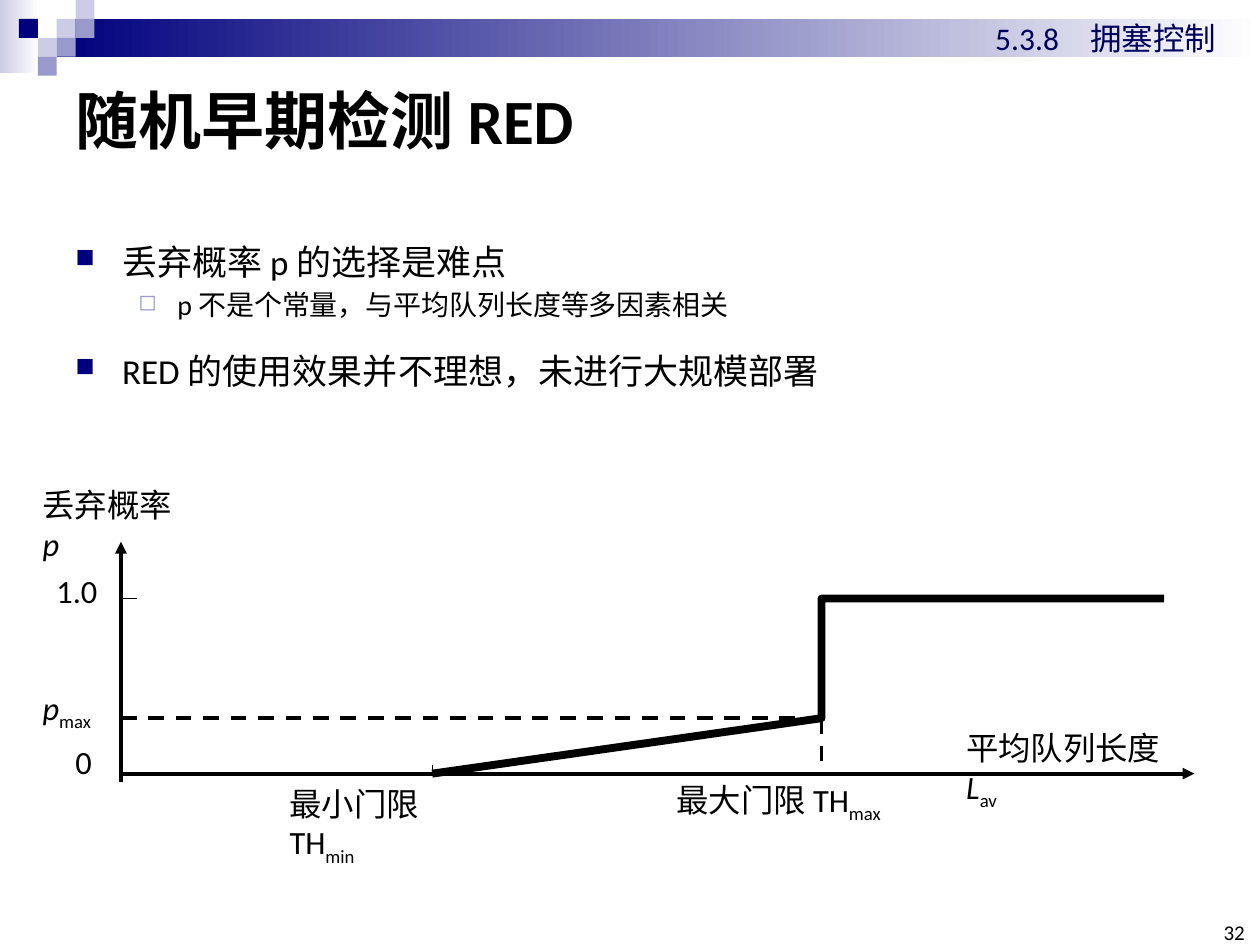
from typing import NamedTuple

from lxml import etree
from pptx import Presentation
from pptx import util as u
from pptx.dml.color import RGBColor
from pptx.enum import dml, shapes, text
from pptx.oxml import ns

NAVY = RGBColor(0x00, 0x00, 0x7D)
INK = RGBColor(0x00, 0x00, 0x5E)
MID = RGBColor(0x99, 0x99, 0xCC)
PALE = RGBColor(0xCC, 0xCC, 0xE6)
WHITE = RGBColor(0xFF, 0xFF, 0xFF)
BLACK = RGBColor(0x00, 0x00, 0x00)
FONT = "Calibri"
CELL = 0.15  # side of a header square

# Chart positions in inches
LEFT, BASE = 0.96, 6.14
LOW, HIGH, END = 3.43, 6.52, 9.24
PMAX, ONE = 5.7, 4.75


class Run(NamedTuple):
    text: str
    ital: bool = False
    sub: bool = False


class Label(NamedTuple):
    x: float
    y: float
    w: float
    runs: list[Run]
    wrap: bool = False


class Line(NamedTuple):
    start: tuple[float, float]
    end: tuple[float, float]
    width: float = 2.25
    dash: bool = False
    arrow: bool = False


class Point(NamedTuple):
    text: str
    size: float = 20
    level: int = 0
    space: float = 1.5
    left: float = 0.37
    hang: float = 0.37
    mark: str = "■"
    color: RGBColor = NAVY
    scale: int = 75


SQUARES = [
    (3, 1, PALE), (4, 0, PALE), (4, 1, MID), (2, 2, PALE),
    (1, 1, NAVY), (3, 2, MID), (2, 3, MID),
]
POINTS = [
    Point("丢弃概率 p 的选择是难点"),
    Point("p 不是个常量，与平均队列长度等多因素相关", 16, 1, 1.0, 0.81, 0.31, "◻", MID, 80),
    Point("RED 的使用效果并不理想，未进行大规模部署"),
]
LINES = [
    Line((LEFT, BASE), (9.48, BASE), arrow=True),
    Line((LEFT, 6.21), (LEFT, 4.3), arrow=True),
    Line((HIGH, PMAX), (HIGH, BASE), dash=True),
    Line((LEFT, PMAX), (HIGH, PMAX), dash=True),
    Line((LOW, 6.07), (LOW, BASE), 0.75),
    Line((LEFT, ONE), (1.09, ONE), 0.75),
]
CURVE = [(LOW, BASE), (HIGH, PMAX), (HIGH, ONE), (END, ONE)]
LABELS = [
    Label(2.2, 6.17, 1.7, [Run("最小门限 TH"), Run("min", sub=True)], True),
    Label(5.27, 6.14, 1.88, [Run("最大门限 TH"), Run("max", sub=True)]),
    Label(7.57, 5.73, 2.0, [Run("平均队列长度 "), Run("L", True), Run("av", sub=True)], True),
    Label(0.24, 3.8, 1.35, [Run("丢弃概率 "), Run("p", True)], True),
    Label(0.35, 4.48, 0.53, [Run("1.0")]),
    Label(0.5, 5.84, 0.33, [Run("0")]),
    Label(0.24, 5.41, 0.63, [Run("p", True), Run("max", sub=True)]),
]


def add_rect(slide, x: float, y: float, w: float, h: float, color: RGBColor, fade: bool = False):
    box = slide.shapes.add_shape(shapes.MSO_SHAPE.RECTANGLE, *map(u.Inches, (x, y, w, h)))
    box.shadow.inherit = False
    box.line.fill.background()
    if fade:
        box.fill.gradient()
        box.fill.gradient_angle = 0
        for stop, tint in zip(box.fill.gradient_stops, (color, WHITE)):
            stop.color.rgb = tint
    else:
        box.fill.solid()
        box.fill.fore_color.rgb = color


def add_frame(slide, x: float, y: float, w: float, h: float, wrap: bool = True):
    frame = slide.shapes.add_textbox(*map(u.Inches, (x, y, w, h))).text_frame
    frame.word_wrap = wrap
    return frame


def add_run(para, part: Run, size: float, color: RGBColor = BLACK, bold: bool = False):
    run = para.add_run()
    run.text = part.text
    font = run.font
    font.name, font.size, font.bold = FONT, u.Pt(size), bold
    font.italic = part.ital
    font.color.rgb = color
    if part.sub:
        font._element.set("baseline", "-25000")


def add_point(para, item: Point):
    para.level = item.level
    para.line_spacing = item.space
    para.space_before = u.Pt(item.size * 0.2)
    props = para._p.get_or_add_pPr()
    props.set("marL", str(u.Inches(item.left)))
    props.set("indent", str(-u.Inches(item.hang)))
    tint = etree.SubElement(props, ns.qn("a:buClr"))
    etree.SubElement(tint, ns.qn("a:srgbClr"), val=str(item.color))
    etree.SubElement(props, ns.qn("a:buSzPct"), val=str(item.scale * 1000))
    etree.SubElement(props, ns.qn("a:buChar"), char=item.mark)
    add_run(para, Run(item.text), item.size)


def add_line(slide, item: Line):
    line = slide.shapes.add_connector(
        shapes.MSO_CONNECTOR.STRAIGHT, *map(u.Inches, item.start + item.end))
    line.line.color.rgb = BLACK
    line.line.width = u.Pt(item.width)
    if item.dash:
        line.line.dash_style = dml.MSO_LINE.DASH
    if item.arrow:
        etree.SubElement(line.line._get_or_add_ln(), ns.qn("a:tailEnd"), type="triangle")
    etree.SubElement(line._element.spPr, ns.qn("a:effectLst"))


def add_curve(slide, dots: list[tuple[float, float]]):
    first, *rest = [(u.Inches(x), u.Inches(y)) for x, y in dots]
    pen = slide.shapes.build_freeform(*first)
    pen.add_line_segments(rest, close=False)
    curve = pen.convert_to_shape()
    curve.shadow.inherit = False
    curve.fill.background()
    curve.line.color.rgb = BLACK
    curve.line.width = u.Pt(4.5)


def add_label(slide, item: Label):
    frame = add_frame(slide, item.x, item.y, item.w, 0.41, item.wrap)
    for part in item.runs:
        add_run(frame.paragraphs[0], part, 18.5)


def main():
    deck = Presentation()
    deck.slide_width, deck.slide_height = u.Inches(10), u.Inches(7.5)
    slide = deck.slides.add_slide(deck.slide_layouts[6])

    # Header band and squares
    add_rect(slide, 0, 0, 0.31, 0.58, PALE, fade=True)
    add_rect(slide, 0.45, 0.15, 9.55, 0.3, NAVY, fade=True)
    for col, row, color in SQUARES:
        add_rect(slide, col * CELL, row * CELL, CELL, CELL, color)

    # Title, section and page number
    title = add_frame(slide, 0.5, 0.5, 9, 0.89)
    title.vertical_anchor = text.MSO_ANCHOR.MIDDLE
    add_run(title.paragraphs[0], Run("随机早期检测 RED"), 36, bold=True)
    head = add_frame(slide, 7.8, 0.1, 2.08, 0.4)
    add_run(head.paragraphs[0], Run("5.3.8　拥塞控制"), 18, INK)
    page = add_frame(slide, 9.65, 7.33, 0.23, 0.17)
    page.margin_left = page.margin_right = page.margin_top = page.margin_bottom = 0
    page.vertical_anchor = text.MSO_ANCHOR.BOTTOM
    page.paragraphs[0].alignment = text.PP_ALIGN.RIGHT
    add_run(page.paragraphs[0], Run("32"), 12)

    # Bullet points
    body = add_frame(slide, 0.5, 1.69, 9.15, 1.7)
    for i, item in enumerate(POINTS):
        add_point(body.add_paragraph() if i else body.paragraphs[0], item)

    # Drop probability chart
    for item in LINES:
        add_line(slide, item)
    add_curve(slide, CURVE)
    for item in LABELS:
        add_label(slide, item)

    deck.save("out.pptx")


if __name__ == "__main__":
    main()
